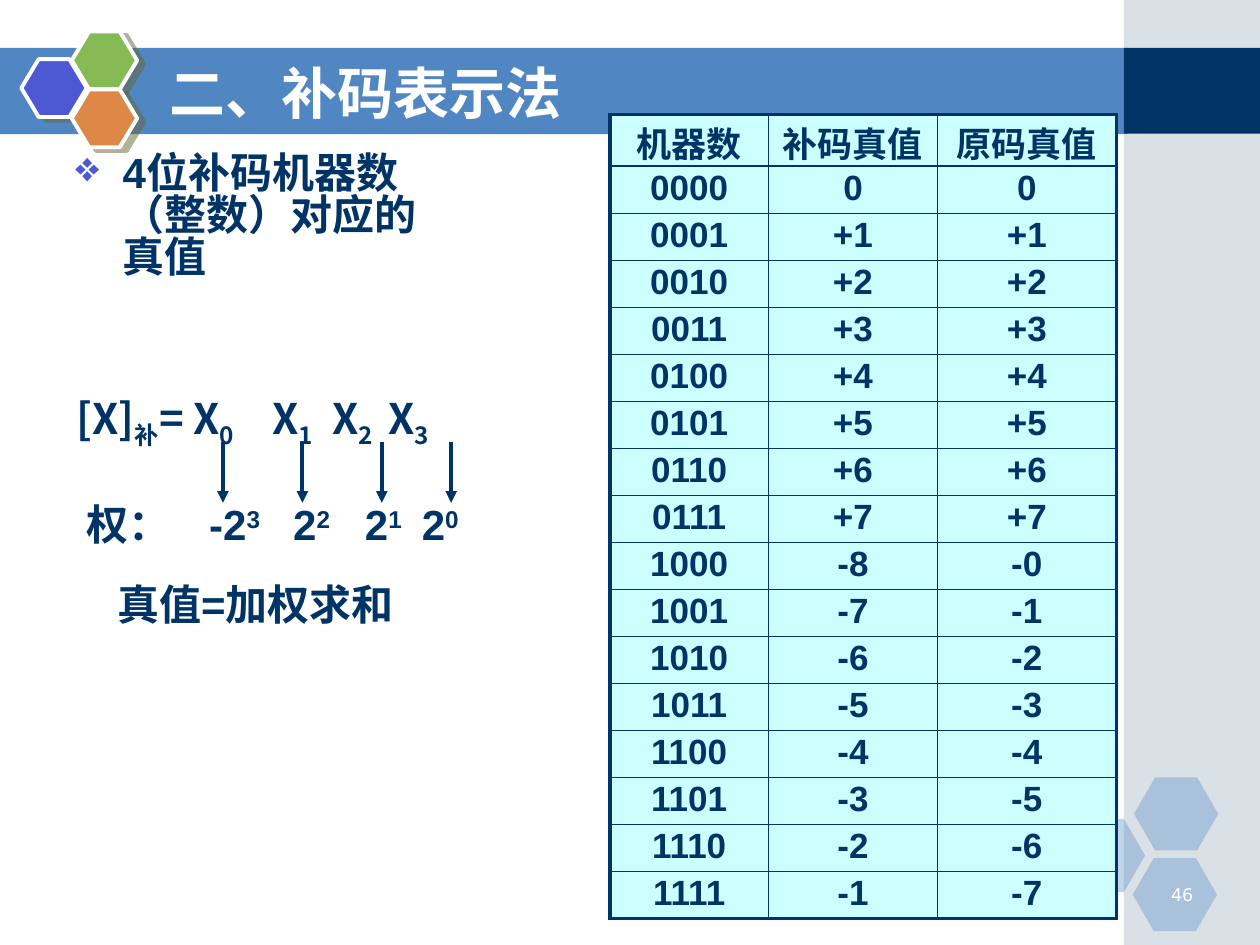
from lxml import etree
from pptx import Presentation
from pptx.dml.color import RGBColor
from pptx.enum import shapes, text
from pptx.oxml import ns
from pptx.util import Pt

NAVY = RGBColor(0x00, 0x33, 0x66)
BLUE = RGBColor(0x50, 0x86, 0xC2)
GREY_BLUE = RGBColor(0xA0, 0xB5, 0xC4)
VIOLET = RGBColor(0x4C, 0x59, 0xD2)
GREEN = RGBColor(0x85, 0xBA, 0x54)
ORANGE = RGBColor(0xDE, 0x88, 0x48)
OLIVE = RGBColor(0x66, 0x66, 0x33)
PALE_CYAN = RGBColor(0xCC, 0xFF, 0xFF)
WHITE = RGBColor(0xFF, 0xFF, 0xFF)
CJK = "Noto Sans CJK SC"
RECTANGLE = shapes.MSO_SHAPE.RECTANGLE
HEXAGON = shapes.MSO_SHAPE.HEXAGON


def add_node(parent, tag, **attributes):
    """Append a DrawingML element with the given attributes."""
    node = etree.SubElement(parent, ns.qn(f"a:{tag}"))
    for name, value in attributes.items():
        node.set(name, str(value))
    return node


def add_filled(page, kind, left, top, width, height, color, opacity=100):
    """Add a borderless preset shape, optionally translucent."""
    shape = page.shapes.add_shape(kind, Pt(left), Pt(top), Pt(width), Pt(height))
    shape.shadow.inherit = False
    shape.fill.solid()
    shape.fill.fore_color.rgb = color
    if opacity < 100:
        tint = shape._element.spPr.find(f"{ns.qn('a:solidFill')}/{ns.qn('a:srgbClr')}")
        add_node(tint, "alpha", val=opacity * 1000)
    shape.line.fill.background()
    return shape


def style_para(para, size, color, latin="Arial", bold=True):
    """Set the Latin and East Asian fonts of a paragraph."""
    font = para.font
    font.size, font.bold, font.name = Pt(size), bold, latin
    font.color.rgb = color
    defaults = para._p.pPr.find(ns.qn("a:defRPr"))
    add_node(defaults, "ea", typeface=CJK)


def add_text(page, left, top, width, height, spans, size, color=NAVY,
             latin="Arial", bold=True, tabs=()):
    """Add a one-paragraph text box from (wording, baseline percent) spans."""
    box = page.shapes.add_textbox(Pt(left), Pt(top), Pt(width), Pt(height))
    box.text_frame.word_wrap = True
    para = box.text_frame.paragraphs[0]
    if tabs:
        stops = add_node(para._p.get_or_add_pPr(), "tabLst")
        for stop in tabs:
            add_node(stops, "tab", pos=Pt(stop), algn="l")
    style_para(para, size, color, latin, bold)
    for wording, baseline in spans:
        span = para.add_run()
        span.text = wording
        if baseline:
            span._r.get_or_add_rPr().set("baseline", str(baseline * 1000))
    return box


def add_backdrop(page, width, height):
    """Draw the title band, the side strip and the pale corner hexagons."""
    strip = width - 77.8
    add_filled(page, RECTANGLE, 0, 27.4, strip + 2, 49.3, BLUE)
    add_filled(page, RECTANGLE, strip, 0, width - strip, height, GREY_BLUE, 40)
    add_filled(page, RECTANGLE, strip, 27.4, width - strip, 49, NAVY)
    for left, top in ((606.2, 468), (648, 444.2), (647.3, 490.3)):
        cell = add_filled(page, HEXAGON, left, top, 48.2, 41.8, BLUE, 35)
        cell.adjustments[0] = 0.29


def add_emblem(page, left, top):
    """Draw the three coloured hexagons with their hard shadows."""
    for dx, dy, color in ((0, 15.8, VIOLET), (28.8, 0, GREEN), (28.8, 33.1, ORANGE)):
        cell = add_filled(page, HEXAGON, left + dx, top + dy, 37.4, 33.1, color)
        cell.adjustments[0] = 0.3
        cell.line.color.rgb = WHITE
        cell.line.width = Pt(2.25)
        effects = cell._element.spPr.find(ns.qn("a:effectLst"))
        shadow = add_node(effects, "outerShdw", blurRad=0, dist=Pt(4.5),
                          dir=27 * 60000, algn="ctr", rotWithShape=0)
        add_node(add_node(shadow, "srgbClr", val=OLIVE), "alpha", val=50000)


def add_title(page, left, top, width, height):
    """Write the slide title inside the band."""
    box = add_text(page, left, top, width, height, [("二、补码表示法", 0)], 32, WHITE, CJK)
    box.text_frame.vertical_anchor = text.MSO_ANCHOR.MIDDLE


def add_topic(page, left, top, width, height):
    """Write the bulleted topic line."""
    box = page.shapes.add_textbox(Pt(left), Pt(top), Pt(width), Pt(height))
    box.text_frame.word_wrap = True
    para = box.text_frame.paragraphs[0]
    para.line_spacing = 0.83
    props = para._p.get_or_add_pPr()
    props.set("marL", str(Pt(27)))
    props.set("indent", str(-Pt(27)))
    add_node(add_node(props, "buClr"), "srgbClr", val=VIOLET)
    add_node(props, "buChar", char="❖")
    para.add_run().text = "4位补码机器数（整数）对应的真值"
    style_para(para, 24, NAVY)


def add_weights(page, left, top):
    """Show the bits, the arrows to their weights and the rule below."""
    bits = [("[X]", 0), ("补", -25), ("= X", 0), ("0", -25)]
    for digit in "123":
        bits += [("\tX", 0), (digit, -25)]
    box = add_text(page, left, top, 260.6, 51.1, bits, 24, latin=CJK, tabs=(112, 146, 178))
    box.text_frame.paragraphs[0].line_spacing = 1.4

    weights = [("权：", 0)]
    for base, power in (("-2", "3"), ("2", "2"), ("2", "1"), ("2", "0")):
        weights += [("\t" + base, 0), (power, 30)]
    add_text(page, left + 5.8, top + 74.2, 244, 36, weights, 24, tabs=(70, 118, 159, 191.5))
    add_text(page, left + 23.1, top + 119.5, 238.3, 36, [("真值=加权求和", 0)], 24)

    for dx in (90.7, 136.1, 181.5, 221.1):
        arrow = page.shapes.add_connector(
            shapes.MSO_CONNECTOR.STRAIGHT,
            Pt(left + dx), Pt(top + 45.4), Pt(left + dx), Pt(top + 79.9))
        arrow.line.color.rgb = NAVY
        arrow.line.width = Pt(2.25)
        add_node(arrow.line._get_or_add_ln(), "tailEnd", type="triangle")
        add_node(arrow._element.spPr, "effectLst")


def code_rows():
    """List each 4-bit code with its complement and sign-magnitude values."""
    rows = [("机器数", "补码真值", "原码真值"), ("0000", "0", "0")]
    rows += [(f"{n:04b}", f"+{n}", f"+{n}") for n in range(1, 8)]
    rows += [(f"{n:04b}", f"{n - 16}", f"-{n - 8}") for n in range(8, 16)]
    return rows


def add_code_table(page, left, top, width, height):
    """Add the table of machine codes with a heavy outer border."""
    rows = code_rows()
    table = page.shapes.add_table(len(rows), 3, Pt(left), Pt(top), Pt(width), Pt(height)).table
    table.first_row = table.horz_banding = False
    for column, size in zip(table.columns, (90.7, 96.5, 102.2)):
        column.width = Pt(size)
    header = 29.5
    for r, values in enumerate(rows):
        table.rows[r].height = Pt((height - header) / (len(rows) - 1) if r else header)
        for c, value in enumerate(values):
            cell = table.cell(r, c)
            outer = {"L": c == 0, "R": c == 2, "T": r == 0, "B": r == len(rows) - 1}
            for side, heavy in outer.items():
                edge = add_node(cell._tc.get_or_add_tcPr(), f"ln{side}", w=Pt(2.25 if heavy else 1))
                add_node(add_node(edge, "solidFill"), "srgbClr", val=NAVY)
            cell.fill.solid()
            cell.fill.fore_color.rgb = PALE_CYAN
            cell.margin_left = cell.margin_right = Pt(7.2)
            cell.margin_top = cell.margin_bottom = Pt(1.44)
            para = cell.text_frame.paragraphs[0]
            para.alignment = text.PP_ALIGN.CENTER
            para.add_run().text = value
            style_para(para, 20, NAVY)


def add_page_number(page, left, top, width, height):
    """Write the page number over the corner hexagon."""
    box = add_text(page, left, top, width, height, [("46", 0)], 10, WHITE, "DejaVu Sans", False)
    box.text_frame.paragraphs[0].alignment = text.PP_ALIGN.RIGHT


def main():
    """Build the deck and save it."""
    deck = Presentation()
    deck.slide_width, deck.slide_height = Pt(720), Pt(540)
    page = deck.slides.add_slide(deck.slide_layouts[6])
    add_backdrop(page, 720, 540)
    add_emblem(page, 12.2, 18)
    add_page_number(page, 653, 501.8, 36, 18)
    add_title(page, 90, 30.2, 527.8, 44.6)
    add_topic(page, 36, 85, 221.8, 105.8)
    add_code_table(page, 348.5, 65.5, 289.4, 458.6)
    add_weights(page, 36.7, 207.4)
    deck.save("out.pptx")


if __name__ == "__main__":
    main()
